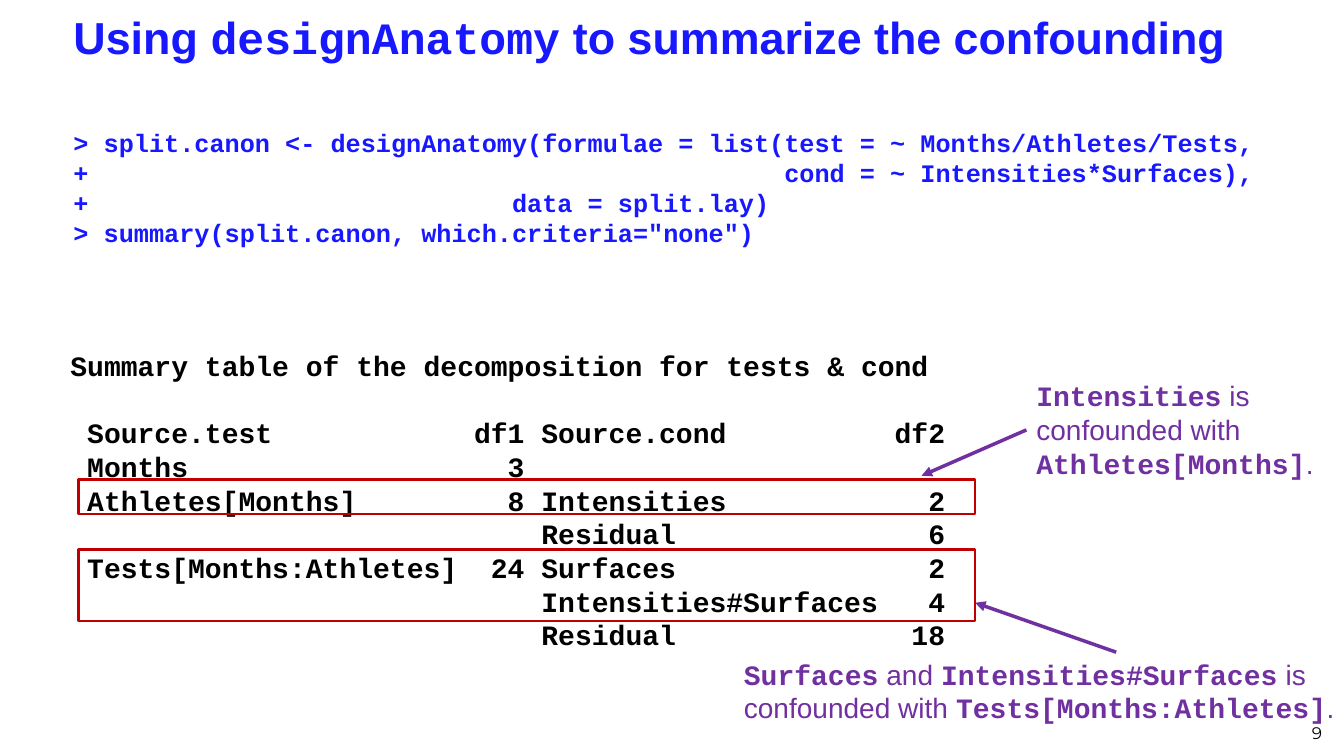
from dataclasses import dataclass

from pptx import Presentation
from pptx.dml.color import RGBColor
from pptx.enum.shapes import MSO_CONNECTOR, MSO_SHAPE
from pptx.enum.text import MSO_ANCHOR, PP_ALIGN
from pptx.oxml.ns import qn
from pptx.util import Inches, Pt
from lxml import etree

STRAIGHT, RECTANGLE = MSO_CONNECTOR.STRAIGHT, MSO_SHAPE.RECTANGLE
TOP, MIDDLE, BOTTOM = MSO_ANCHOR.TOP, MSO_ANCHOR.MIDDLE, MSO_ANCHOR.BOTTOM
LEFT, RIGHT = PP_ALIGN.LEFT, PP_ALIGN.RIGHT
LEFT_SIDE = 1

COLOURS = {"blue": "1818FF", "black": "000000", "purple": "7030A0", "red": "C00000"}
SANS, MONO, NUMBER_FONT = "Arial", "Courier New", "Montserrat"

prs = Presentation()
prs.slide_width, prs.slide_height = Inches(13.33), Inches(7.5)
slide = prs.slides.add_slide(prs.slide_layouts[6])


def across(percent: float) -> int:
    return round(prs.slide_width * percent / 100)


def down(percent: float) -> int:
    return round(prs.slide_height * percent / 100)


@dataclass
class Area:
    """A rectangle in percent of the slide's width and height."""
    left: float
    top: float
    width: float
    height: float

    def emu(self) -> tuple[int, int, int, int]:
        return across(self.left), down(self.top), across(self.width), down(self.height)


@dataclass
class Style:
    size: float
    colour: str
    font: str = MONO
    bold: bool = True


@dataclass
class Note:
    area: Area
    pieces: list[str]  # code and plain words in turn


def format_run(run, style: Style) -> None:
    run.font.size, run.font.name, run.font.bold = Pt(style.size), style.font, style.bold
    run.font.color.rgb = RGBColor.from_string(COLOURS[style.colour])


def add_frame(area: Area, anchor=TOP):
    box = slide.shapes.add_textbox(*area.emu())
    box.text_frame.word_wrap = True
    box.text_frame.vertical_anchor = anchor
    return box


def add_lines(area: Area, lines: list[str], style: Style, anchor=TOP, align=LEFT):
    frame = add_frame(area, anchor).text_frame
    frame.text = "\n".join(lines)
    for paragraph in frame.paragraphs:
        paragraph.alignment = align
        paragraph.line_spacing = Pt(style.size * 1.2)
        for run in paragraph.runs:
            format_run(run, style)
    return frame


def add_mixed(area: Area, pieces: list[tuple[str, Style]], anchor=TOP):
    box = add_frame(area, anchor)
    for words, style in pieces:
        run = box.text_frame.paragraphs[0].add_run()
        run.text = words
        format_run(run, style)
    return box


def add_note(note: Note):
    styles = Style(20, "purple"), Style(20, "purple", SANS, False)
    return add_mixed(note.area, [(words, styles[i % 2]) for i, words in enumerate(note.pieces)])


def add_highlight(area: Area) -> None:
    outline = slide.shapes.add_shape(RECTANGLE, *area.emu())
    outline.shadow.inherit = False
    outline.fill.background()
    outline.line.color.rgb = RGBColor.from_string(COLOURS["red"])
    outline.line.width = Pt(2)


def add_arrow(start: tuple[float, float], end: tuple[float, float]):
    arrow = slide.shapes.add_connector(
        STRAIGHT, across(start[0]), down(start[1]), across(end[0]), down(end[1]))
    arrow.line.color.rgb = RGBColor.from_string(COLOURS["purple"])
    arrow.line.width = Pt(2.5)
    etree.SubElement(arrow.line._get_or_add_ln(), qn("a:tailEnd"), type="triangle")
    etree.SubElement(arrow._element.spPr, qn("a:effectLst"))
    return arrow


# Title
title_style = Style(32, "blue", SANS)
add_mixed(Area(4.73, -0.4, 94.5, 10.53), [
    ("Using ", title_style),
    ("designAnatomy", Style(32, "blue")),
    (" to summarize the confounding", title_style),
], MIDDLE)

# R commands
add_lines(Area(4.73, 16.13, 94.5, 18.13), [
    "> split.canon <- designAnatomy(formulae = list(test = ~ Months/Athletes/Tests,",
    "+                                              cond = ~ Intensities*Surfaces),",
    "+                            data = split.lay)",
    '> summary(split.canon, which.criteria="none")',
], Style(18, "blue"))

# Page number
add_lines(Area(75.77, 92.27, 23.33, 6.67), ["9"],
          Style(12, "black", NUMBER_FONT, False), BOTTOM, RIGHT)

# Console output, set in fixed-width columns
DECOMPOSITION = [
    ("Source.test", "df1", "Source.cond", "df2"),
    ("Months", 3, "", ""),
    ("Athletes[Months]", 8, "Intensities", 2),
    ("", "", "Residual", 6),
    ("Tests[Months:Athletes]", 24, "Surfaces", 2),
    ("", "", "Intensities#Surfaces", 4),
    ("", "", "Residual", 18),
]
rows = [f" {test:<23}{df1:>3} {cond:<20}{df2:>4}".rstrip()
        for test, df1, cond, df2 in DECOMPOSITION]
summary = add_lines(Area(4.5, 45.47, 94.5, 42),
                    ["Summary table of the decomposition for tests & cond", *rows],
                    Style(20, "black"))
summary.paragraphs[1].space_before = Pt(24)

# Highlighted rows
for top, height in ((63.47, 4.53), (72.67, 9.47)):
    add_highlight(Area(5.85, top, 66.7, height))

# Notes on the confounding, with their arrows
intensities_note = add_note(Note(
    Area(76.37, 49.47, 22.65, 14.8),
    ["Intensities", " is confounded with ", "Athletes[Months]", "."]))
add_note(Note(
    Area(54.61, 86.27, 46.29, 10.27),
    ["Surfaces", " and ", "Intensities#Surfaces", " is confounded with ",
     "Tests[Months:Athletes]", "."]))
intensities_arrow = add_arrow((76.37, 56.87), (68.57, 62.93))
intensities_arrow.begin_connect(intensities_note, LEFT_SIDE)
add_arrow((83.05, 86.27), (72.55, 79.73))

prs.save("out.pptx")
